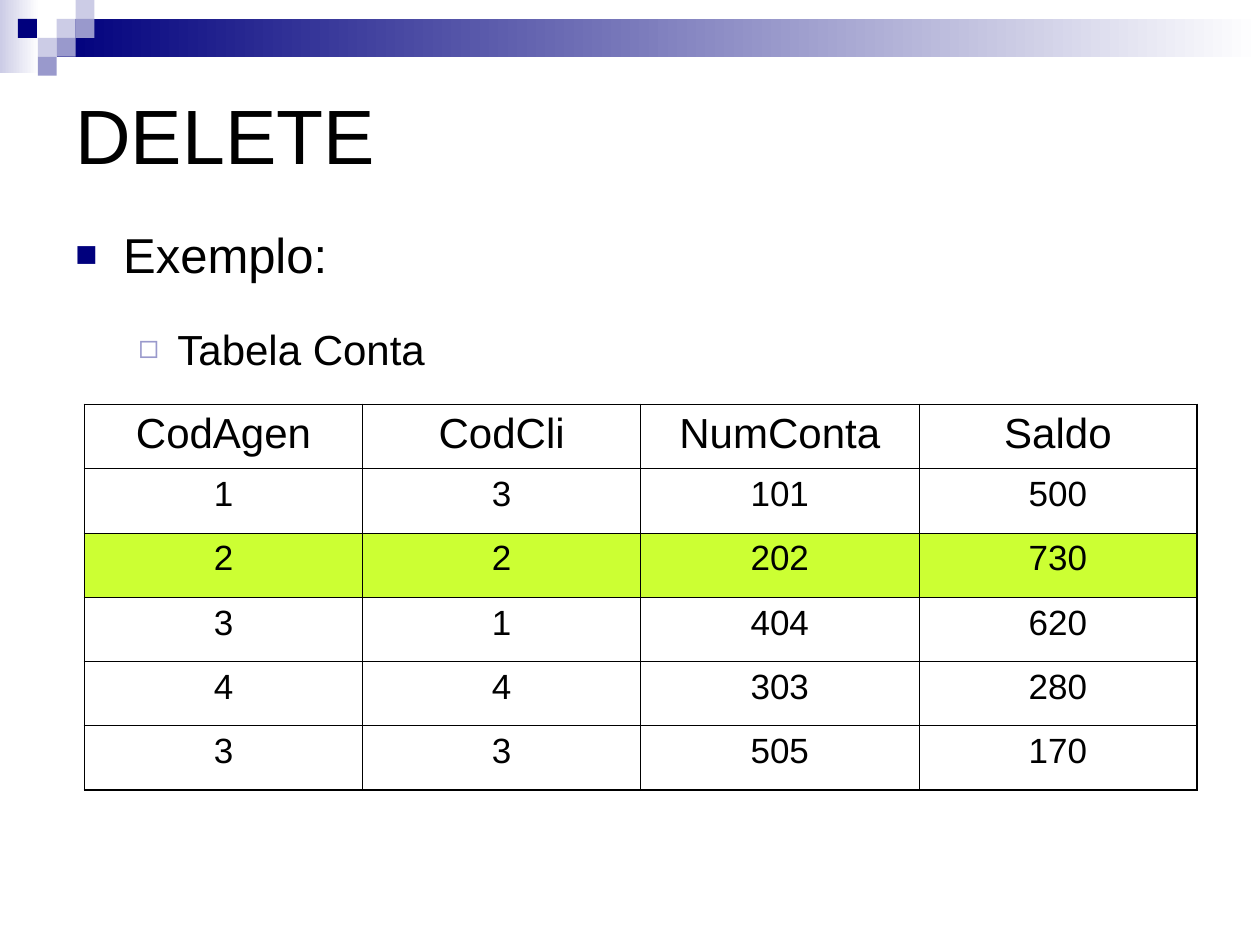
"""Build the DELETE example slide with its highlighted Conta table."""
import pptx
import pptx.dml.color
import pptx.enum.shapes
import pptx.enum.text
import pptx.oxml.ns
import pptx.util
from lxml import etree

COLORS = {"ink": "000000", "navy": "00007D", "lilac": "9999CC", "pale": "CCCCE6",
          "paper": "FFFFFF", "lime": "CCFF33"}
FONT = "Arial"
inch = pptx.util.Inches
point = pptx.util.Pt
qn = pptx.oxml.ns.qn


def rgb(name):
    return pptx.dml.color.RGBColor.from_string(COLORS[name])


def style(paragraph, size):
    paragraph.font.name = FONT
    paragraph.font.size = point(size)
    paragraph.font.color.rgb = rgb("ink")


deck = pptx.Presentation()
deck.slide_width, deck.slide_height = inch(10), inch(7.5)
slide = deck.slides.add_slide(deck.slide_layouts[6])

unit = 0.15
ornaments = [
    (0, 0, 2.07, 3.87, "pale", True),
    (3, 1, 63.67, 2, "navy", True),
    (3, 1, 1, 1, "pale", False),
    (4, 0, 1, 1, "pale", False),
    (4, 1, 1, 1, "lilac", False),
    (2, 2, 1, 1, "pale", False),
    (0.95, 1, 1, 1, "navy", False),
    (3, 2, 1, 1, "lilac", False),
    (2, 3, 1, 1, "lilac", False),
]
for column, row, width, height, color, fades in ornaments:
    ornament = slide.shapes.add_shape(
        pptx.enum.shapes.MSO_SHAPE.RECTANGLE,
        *(inch(unit * share) for share in (column, row, width, height)))
    ornament.shadow.inherit = False
    ornament.line.fill.background()
    if fades:
        ornament.fill.gradient()
        ornament.fill.gradient_angle = 0
        for stop, tone, position in zip(ornament.fill.gradient_stops, (color, "paper"), (0, 1)):
            stop.color.rgb = rgb(tone)
            stop.position = position
    else:
        ornament.fill.solid()
        ornament.fill.fore_color.rgb = rgb(color)

title = slide.shapes.add_textbox(inch(0.5), inch(0.5), inch(9), inch(1.12)).text_frame
title.word_wrap = True
title.vertical_anchor = pptx.enum.text.MSO_ANCHOR.MIDDLE
title.text = "DELETE"
style(title.paragraphs[0], 44)

outline = slide.shapes.add_textbox(inch(0.5), inch(1.73), inch(7.97), inch(1.4)).text_frame
outline.word_wrap = True
topics = [
    ("Exemplo:", 0, 28, 0, 0.38, -0.38, "■", "navy", 75),
    ("Tabela Conta", 1, 24, 23, 0.81, -0.31, "◻", "lilac", 80),
]
for index, (text, level, size, before, margin, indent, mark, color, scale) in enumerate(topics):
    topic = outline.paragraphs[0] if index == 0 else outline.add_paragraph()
    topic.text = text
    topic.level = level
    topic.space_before = point(before)
    properties = topic._p.get_or_add_pPr()
    properties.set("marL", str(inch(margin)))
    properties.set("indent", str(inch(indent)))
    bullet_color = etree.SubElement(properties, qn("a:buClr"))
    etree.SubElement(bullet_color, qn("a:srgbClr"), val=COLORS[color])
    etree.SubElement(properties, qn("a:buSzPct"), val=str(scale * 1000))
    etree.SubElement(properties, qn("a:buFont"), typeface=FONT)
    etree.SubElement(properties, qn("a:buChar"), char=mark)
    style(topic, size)

accounts = [
    ("CodAgen", "CodCli", "NumConta", "Saldo"),
    ("1", "3", "101", "500"),
    ("2", "2", "202", "730"),
    ("3", "1", "404", "620"),
    ("4", "4", "303", "280"),
    ("3", "3", "505", "170"),
]
deleted_row = 2
last_row, last_column = len(accounts) - 1, len(accounts[0]) - 1
table = slide.shapes.add_table(len(accounts), len(accounts[0]),
                               inch(0.67), inch(3.21), inch(8.83), inch(3.06)).table
for row, account in enumerate(accounts):
    for column, value in enumerate(account):
        cell = table.cell(row, column)
        cell.text = value
        entry = cell.text_frame.paragraphs[0]
        entry.alignment = pptx.enum.text.PP_ALIGN.CENTER
        style(entry, 24 if row == 0 else 20)
        edges = {"lnL": column == 0, "lnR": column == last_column,
                 "lnT": row == 0, "lnB": row == last_row}
        for edge, outer in edges.items():
            border = etree.SubElement(cell._tc.get_or_add_tcPr(), qn(f"a:{edge}"),
                                      w=str(point(1.08 if outer else 0.45)))
            ink = etree.SubElement(border, qn("a:solidFill"))
            etree.SubElement(ink, qn("a:srgbClr"), val=COLORS["ink"])
        if row == deleted_row:
            cell.fill.solid()
            cell.fill.fore_color.rgb = rgb("lime")
        else:
            cell.fill.background()

deck.save("out.pptx")
